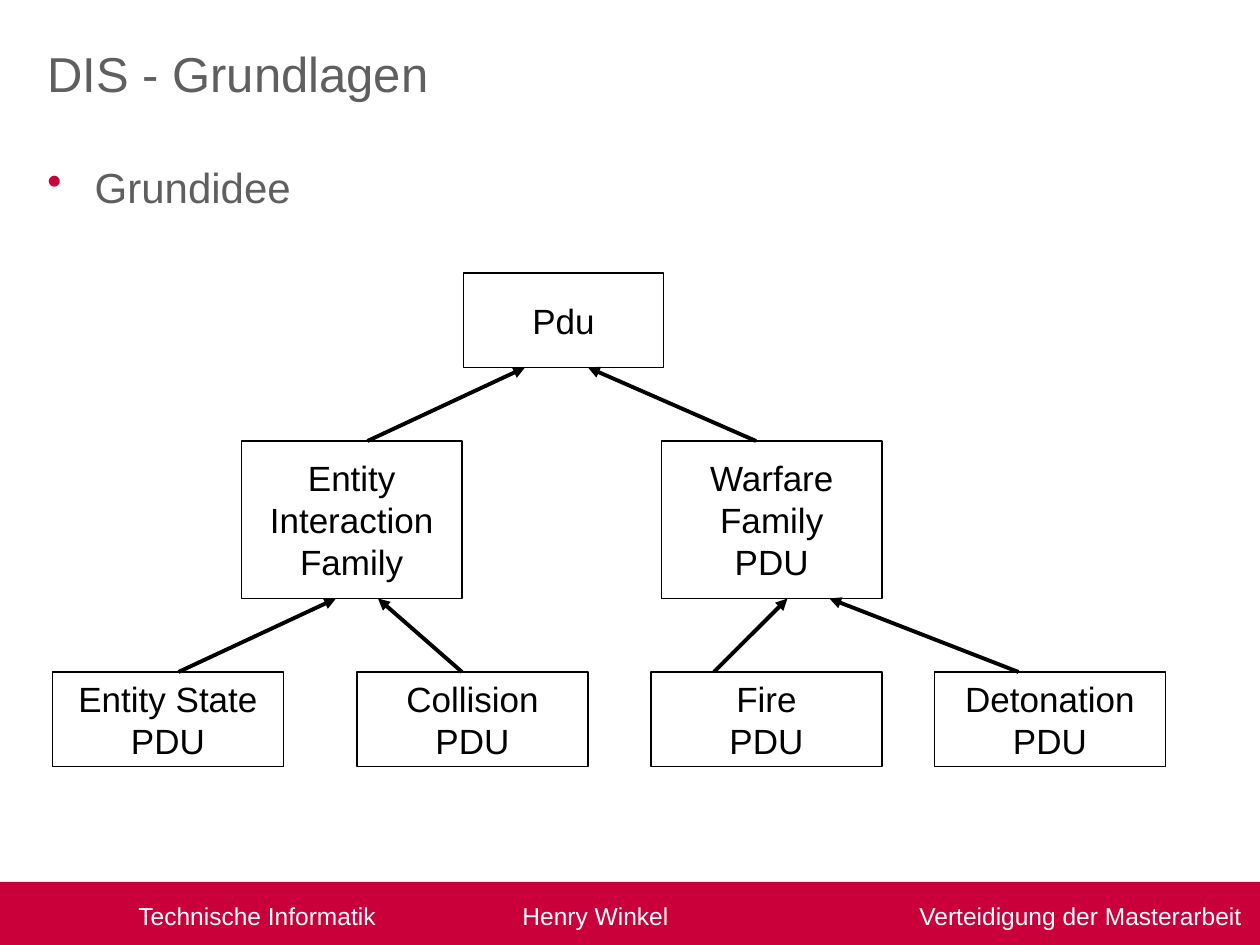
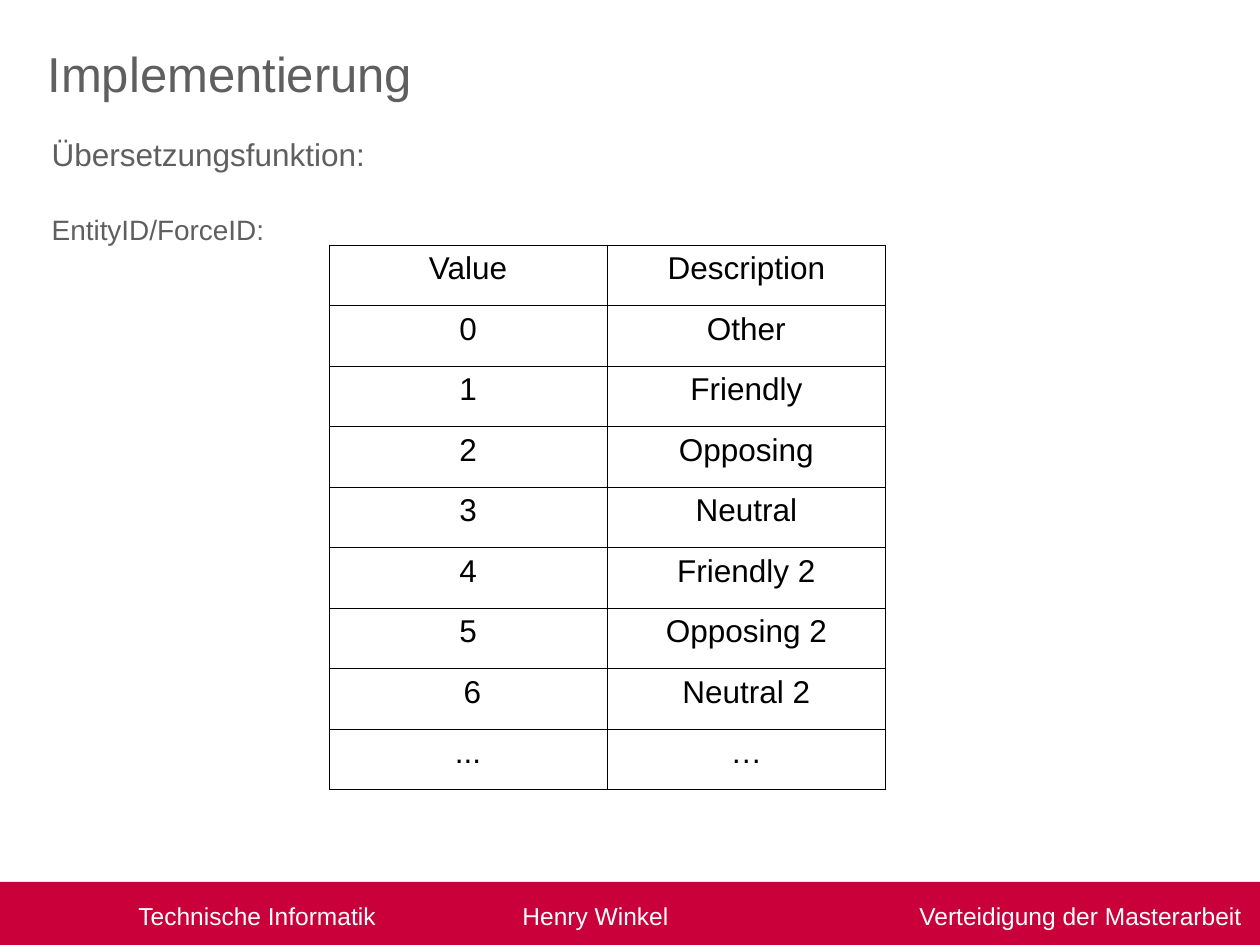
from typing import NamedTuple

from lxml.etree import SubElement
from pptx import Presentation
from pptx.dml.color import RGBColor
from pptx.enum.shapes import MSO_CONNECTOR, MSO_SHAPE
from pptx.enum.text import MSO_ANCHOR, MSO_AUTO_SIZE, PP_ALIGN
from pptx.oxml.ns import qn
from pptx.presentation import Presentation as Deck
from pptx.slide import Slide
from pptx.text.text import TextFrame
from pptx.util import Pt

FONT = "Arial"
RED = RGBColor(0xCA, 0x00, 0x3B)
GRAY = RGBColor(0x5F, 0x5F, 0x5F)
BLACK = RGBColor(0x00, 0x00, 0x00)
WHITE = RGBColor(0xFF, 0xFF, 0xFF)

SLIDE_WIDTH, SLIDE_HEIGHT = 720, 540
BAND_TOP, BAND_HEIGHT = 504, 39
FOOTER = "\tTechnische Informatik\tHenry Winkel\tVerteidigung der Masterarbeit"
FOOTER_TABS = ((72, "l"), (291.5, "l"), (702.5, "r"))

ROOT_TOP, FAMILY_TOP, LEAF_TOP = 156, 252, 384
ROOT_BOTTOM, FAMILY_BOTTOM = 210, 342
FAMILY_WIDTH, FAMILY_HEIGHT = 126, 90
LEAF_WIDTH, LEAF_HEIGHT = 132, 54


class Box(NamedTuple):
    text: str
    left: float
    top: float
    width: float
    height: float


class Arrow(NamedTuple):
    start_x: float
    start_y: float
    end_x: float
    end_y: float


PDU_BOXES = (
    Box("Pdu", 265, ROOT_TOP, 114, ROOT_BOTTOM - ROOT_TOP),
    Box("Entity\nInteraction\nFamily", 138, FAMILY_TOP, FAMILY_WIDTH, FAMILY_HEIGHT),
    Box("Warfare\nFamily\nPDU", 378, FAMILY_TOP, FAMILY_WIDTH, FAMILY_HEIGHT),
    Box("Entity State\nPDU", 30, LEAF_TOP, LEAF_WIDTH, LEAF_HEIGHT),
    Box("Collision\nPDU", 204, LEAF_TOP, LEAF_WIDTH, LEAF_HEIGHT),
    Box("Fire\nPDU", 372, LEAF_TOP, LEAF_WIDTH, LEAF_HEIGHT),
    Box("Detonation\nPDU", 534, LEAF_TOP, LEAF_WIDTH, LEAF_HEIGHT),
)
INHERITANCE_ARROWS = (
    Arrow(210, FAMILY_TOP, 300, ROOT_BOTTOM),
    Arrow(432, FAMILY_TOP, 336, ROOT_BOTTOM),
    Arrow(102, LEAF_TOP, 192, FAMILY_BOTTOM),
    Arrow(264, LEAF_TOP, 216, FAMILY_BOTTOM),
    Arrow(408, LEAF_TOP, 450, FAMILY_BOTTOM),
    Arrow(582, LEAF_TOP, 474, FAMILY_BOTTOM),
)
FORCE_IDS = (
    ("Value", "Description"),
    ("0", "Other"),
    ("1", "Friendly"),
    ("2", "Opposing"),
    ("3", "Neutral"),
    ("4", "Friendly 2"),
    ("5", "Opposing 2"),
    (" 6", "Neutral 2"),
    ("...", "…"),
)


def format_text(text_frame: TextFrame, size: float, color: RGBColor,
                alignment: PP_ALIGN = PP_ALIGN.LEFT) -> None:
    for paragraph in text_frame.paragraphs:
        paragraph.alignment = alignment
        for run in paragraph.runs:
            run.font.name = FONT
            run.font.size = Pt(size)
            run.font.color.rgb = color


def add_footer(slide: Slide) -> None:
    band = slide.shapes.add_shape(MSO_SHAPE.RECTANGLE, 0, Pt(BAND_TOP),
                                  Pt(SLIDE_WIDTH), Pt(BAND_HEIGHT))
    band.shadow.inherit = False
    band.fill.solid()
    band.fill.fore_color.rgb = RED
    band.line.fill.background()
    text_frame = band.text_frame
    text_frame.text = FOOTER
    text_frame.vertical_anchor = MSO_ANCHOR.MIDDLE
    format_text(text_frame, 14, WHITE)
    properties = text_frame.paragraphs[0]._p.get_or_add_pPr()
    tab_list = SubElement(properties, qn("a:tabLst"))
    for position, alignment in FOOTER_TABS:
        SubElement(tab_list, qn("a:tab"), pos=str(Pt(position)), algn=alignment)


def add_titled_slide(presentation: Deck, title: str) -> Slide:
    slide = presentation.slides.add_slide(presentation.slide_layouts[5])
    add_footer(slide)
    shape = slide.shapes.title
    shape.left, shape.top, shape.width, shape.height = Pt(20), Pt(21), Pt(567), Pt(57)
    shape.text_frame.text = title
    shape.text_frame.auto_size = MSO_AUTO_SIZE.NONE
    shape.text_frame.vertical_anchor = MSO_ANCHOR.TOP
    format_text(shape.text_frame, 28, GRAY)
    return slide


def add_text(slide: Slide, box: Box, size: float) -> TextFrame:
    shape = slide.shapes.add_textbox(Pt(box.left), Pt(box.top),
                                     Pt(box.width), Pt(box.height))
    text_frame = shape.text_frame
    text_frame.word_wrap = True
    text_frame.text = box.text
    format_text(text_frame, size, GRAY)
    return text_frame


def add_bullet(text_frame: TextFrame) -> None:
    properties = text_frame.paragraphs[0]._p.get_or_add_pPr()
    properties.set("marL", str(Pt(27)))
    properties.set("indent", str(-Pt(27)))
    bullet_color = SubElement(properties, qn("a:buClr"))
    SubElement(bullet_color, qn("a:srgbClr"), val=str(RED))
    SubElement(properties, qn("a:buChar"), char="•")


def add_box(slide: Slide, box: Box) -> None:
    shape = slide.shapes.add_shape(MSO_SHAPE.RECTANGLE, Pt(box.left), Pt(box.top),
                                   Pt(box.width), Pt(box.height))
    shape.shadow.inherit = False
    shape.fill.background()
    shape.line.color.rgb = BLACK
    shape.line.width = Pt(0.75)
    shape.text_frame.text = box.text
    shape.text_frame.word_wrap = False
    shape.text_frame.vertical_anchor = MSO_ANCHOR.MIDDLE
    format_text(shape.text_frame, 20, BLACK, PP_ALIGN.CENTER)


def add_arrow(slide: Slide, arrow: Arrow) -> None:
    connector = slide.shapes.add_connector(
        MSO_CONNECTOR.STRAIGHT, *(Pt(coordinate) for coordinate in arrow))
    connector.line.color.rgb = BLACK
    connector.line.width = Pt(2.25)
    SubElement(connector.line._get_or_add_ln(), qn("a:tailEnd"), type="triangle")
    SubElement(connector._element.spPr, qn("a:effectLst"))


def add_table(slide: Slide, rows: tuple[tuple[str, str], ...]) -> None:
    frame = slide.shapes.add_table(len(rows), len(rows[0]), Pt(188), Pt(140),
                                   Pt(318), Pt(34.56 * len(rows)))
    table = frame.table
    table.first_row = False
    table.horz_banding = False
    for row_index, row in enumerate(rows):
        for column_index, text in enumerate(row):
            cell = table.cell(row_index, column_index)
            cell.text_frame.text = text
            format_text(cell.text_frame, 18, BLACK, PP_ALIGN.CENTER)
            properties = cell._tc.get_or_add_tcPr()
            for side in ("a:lnL", "a:lnR", "a:lnT", "a:lnB"):
                border = SubElement(properties, qn(side), w=str(Pt(0.06)))
                fill = SubElement(border, qn("a:solidFill"))
                SubElement(fill, qn("a:srgbClr"), val=str(BLACK))
            cell.fill.background()


def build_basics(presentation: Deck) -> None:
    slide = add_titled_slide(presentation, "DIS - Grundlagen")
    add_bullet(add_text(slide, Box("Grundidee", 20, 88.5, 680, 408), 24))
    for box in PDU_BOXES:
        add_box(slide, box)
    for arrow in INHERITANCE_ARROWS:
        add_arrow(slide, arrow)


def build_implementation(presentation: Deck) -> None:
    slide = add_titled_slide(presentation, "Implementierung")
    heading = Box("Übersetzungsfunktion:\nEntityID/ForceID:", 22.5, 73.5, 255, 30)
    text_frame = add_text(slide, heading, 18)
    entity_paragraph = text_frame.paragraphs[1]
    entity_paragraph.space_before = Pt(23)
    entity_paragraph.runs[0].font.size = Pt(16)
    add_table(slide, FORCE_IDS)


def main() -> None:
    presentation = Presentation()
    presentation.slide_width = Pt(SLIDE_WIDTH)
    presentation.slide_height = Pt(SLIDE_HEIGHT)
    build_basics(presentation)
    build_implementation(presentation)
    presentation.save("out.pptx")


if __name__ == "__main__":
    main()
